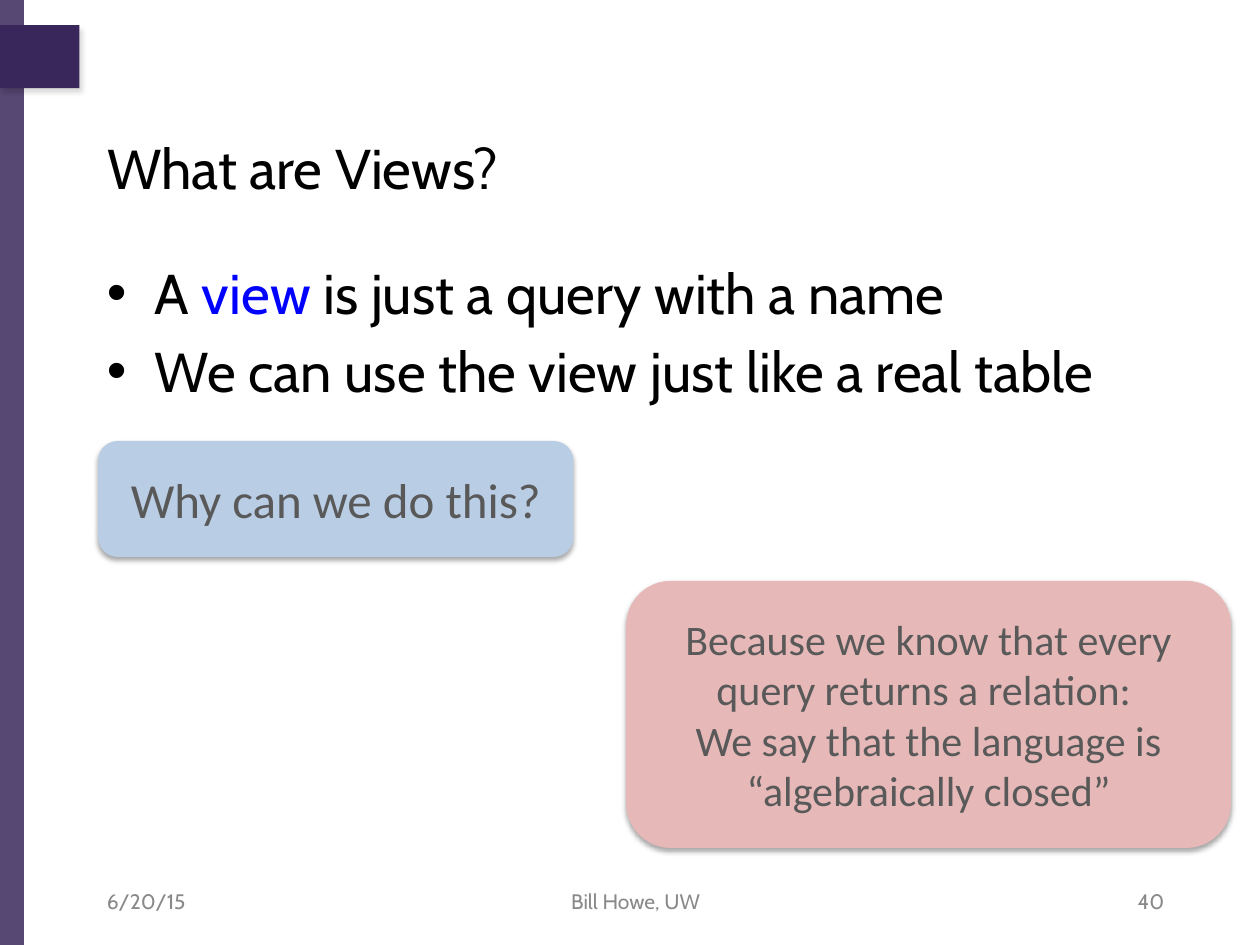
"""Build the slide that explains what database views are."""
from lxml import etree
from pptx import Presentation
from pptx.dml.color import RGBColor
from pptx.enum.shapes import MSO_SHAPE
from pptx.enum.text import MSO_ANCHOR, PP_ALIGN
from pptx.oxml.ns import qn
from pptx.util import Emu, Pt

RECT, ROUND = MSO_SHAPE.RECTANGLE, MSO_SHAPE.ROUNDED_RECTANGLE
LEFT, CENTER, RIGHT = PP_ALIGN.LEFT, PP_ALIGN.CENTER, PP_ALIGN.RIGHT
TOP, MIDDLE = MSO_ANCHOR.TOP, MSO_ANCHOR.MIDDLE
PX = 9144
COLORS = {
    "purple": "39275B", "black": "000000", "blue": "0000FF", "grey": "898989",
    "dark": "595959", "question": "B9CDE5", "answer": "E6B9B8",
}
CARD_SHADOW = (35, 3.1, 1.8, 90)


class Deck:
    """Hold the style and the current slide."""

    def __init__(self, width, height):
        self.prs = Presentation()
        self.prs.slide_width, self.prs.slide_height = Emu(width * PX), Emu(height * PX)
        self.slide = self.prs.slides.add_slide(self.prs.slide_layouts[5])

    def set_text(self, sp, paras, size, color, font="Cabin", align=LEFT, anchor=MIDDLE):
        """Fill a shape with paragraphs, each a list of (text, colour) runs or a string."""
        tf = sp.text_frame
        tf.word_wrap, tf.vertical_anchor = True, anchor
        for i, runs in enumerate(paras):
            p = tf.paragraphs[0] if i == 0 else tf.add_paragraph()
            p.alignment = align
            for text, name in [(runs, color)] if isinstance(runs, str) else runs:
                r = p.add_run()
                r.text = text
                r.font.size, r.font.name = Pt(size), font
                r.font.color.rgb = RGBColor.from_string(COLORS[name])
        return tf

    def title(self, box, text):
        """Place and fill the title placeholder."""
        sp = self.slide.shapes.title
        sp.left, sp.top, sp.width, sp.height = (Emu(v * PX) for v in box)
        self.set_text(sp, [text], 32, "black")

    def text(self, box, paras, size, color, **style):
        """Add a text box."""
        sp = self.slide.shapes.add_textbox(*(Emu(v * PX) for v in box))
        return self.set_text(sp, paras, size, color, **style)

    def bullets(self, box, paras):
        """Add a bulleted list."""
        for p in self.text(box, paras, 32, "black", anchor=TOP).paragraphs:
            p.space_before = Pt(6.4)
            pPr = p._p.get_or_add_pPr()
            pPr.set("marL", str(38 * PX))
            pPr.set("indent", str(-38 * PX))
            etree.SubElement(pPr, qn("a:buFont")).set("typeface", "Arial")
            etree.SubElement(pPr, qn("a:buChar")).set("char", "•")

    def shape(self, kind, box, color, alpha=100, shadow=None):
        """Add a filled shape without an outline."""
        sp = self.slide.shapes.add_shape(kind, *(Emu(v * PX) for v in box))
        sp.shadow.inherit = False
        sp.fill.solid()
        sp.fill.fore_color.rgb = RGBColor.from_string(COLORS[color])
        sp.line.fill.background()
        if alpha < 100:
            clr = sp._element.spPr.find(".//" + qn("a:srgbClr"))
            etree.SubElement(clr, qn("a:alpha")).set("val", str(alpha * 1000))
        if shadow:
            self.cast(sp, *shadow)
        return sp

    def cast(self, sp, opacity, blur, dist, angle):
        """Give a shape an outer shadow."""
        effects = sp._element.spPr.find(qn("a:effectLst"))
        outer = etree.SubElement(effects, qn("a:outerShdw"), blurRad=str(int(Pt(blur))),
                                 dist=str(int(Pt(dist))), dir=str(angle * 60000), rotWithShape="0")
        clr = etree.SubElement(outer, qn("a:srgbClr"), val=COLORS["black"])
        etree.SubElement(clr, qn("a:alpha")).set("val", str(opacity * 1000))

    def card(self, box, fill, paras, size):
        """Add a rounded card with centred text."""
        sp = self.shape(ROUND, box, fill, shadow=CARD_SHADOW)
        self.set_text(sp, paras, size, "dark", font="Calibri", align=CENTER)


def main():
    deck = Deck(1000, 750)
    deck.shape(RECT, (0, 0, 19, 750), "purple", alpha=85)
    deck.shape(RECT, (0, 20, 63, 50), "purple", shadow=(15, 3, 3, 60))
    deck.title((75, 83, 859, 100), "What are Views?")
    deck.bullets((75, 200, 859, 470), [
        [("A ", "black"), ("view", "blue"), (" is just a query with a name", "black")],
        "We can use the view just like a real table",
    ])
    for left, width, text, align in (
        (75, 233, "6/20/15", LEFT),
        (346, 317, "Bill Howe, UW", CENTER),
        (701, 233, "40", RIGHT),
    ):
        deck.text((left, 695, width, 40), [text], 12, "grey", align=align)
    deck.card((78, 350, 377, 92), "question", ["Why can we do this?"], 28)
    deck.card((497, 461, 480, 212), "answer", [
        "Because we know that every query returns a relation: ",
        "We say that the language is “algebraically closed”",
    ], 24)
    deck.prs.save("out.pptx")


if __name__ == "__main__":
    main()
